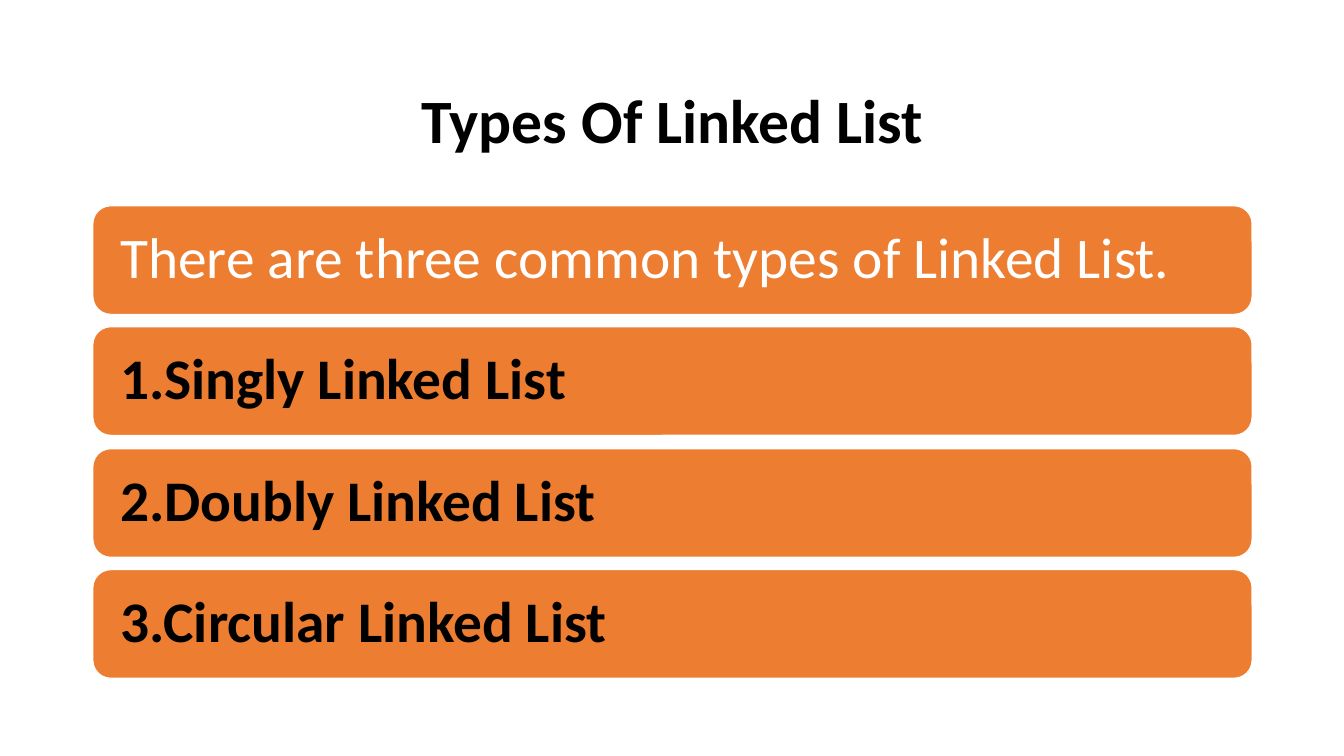
from pptx import Presentation
from pptx import util as u
from pptx.dml.color import RGBColor
from pptx.enum import shapes, text

PX = u.Inches(1) // 100
LEFT, WIDTH = 92, 1150
BAR_TOP, BAR_BOTTOM, BAR_HEIGHT = 204, 673, 108
BAR_INSET = 22
BARS = [
    ("There are three common types of Linked List.", "FFFFFF", False),
    ("1.Singly Linked List", "000000", True),
    ("2.Doubly Linked List", "000000", True),
    ("3.Circular Linked List", "000000", True),
]


def color(value):
    return RGBColor.from_string(value)


def write(shape, words, size, value, bold, alignment):
    """Fill a shape with one vertically centred, formatted paragraph."""
    frame = shape.text_frame
    frame.text = words
    frame.word_wrap = True
    frame.auto_size = text.MSO_AUTO_SIZE.NONE
    frame.vertical_anchor = text.MSO_ANCHOR.MIDDLE
    paragraph = frame.paragraphs[0]
    paragraph.alignment = alignment
    paragraph.line_spacing = 0.9
    font = paragraph.runs[0].font
    font.name = "Calibri"
    font.size = u.Pt(size)
    font.bold = bold
    font.color.rgb = color(value)


presentation = Presentation()
presentation.slide_width = 1333 * PX
presentation.slide_height = 750 * PX
slide = presentation.slides.add_slide(presentation.slide_layouts[5])

title = slide.shapes.title
title.left, title.top = LEFT * PX, 61 * PX
title.width, title.height = WIDTH * PX, 124 * PX
write(title, "Types Of Linked List", 44, "000000", True, text.PP_ALIGN.CENTER)

pitch = (BAR_BOTTOM - BAR_HEIGHT - BAR_TOP) / (len(BARS) - 1)
for index, (words, value, bold) in enumerate(BARS):
    top = round(BAR_TOP + index * pitch)
    bar = slide.shapes.add_shape(
        shapes.MSO_SHAPE.ROUNDED_RECTANGLE,
        LEFT * PX, top * PX, WIDTH * PX, BAR_HEIGHT * PX)
    bar.shadow.inherit = False
    bar.fill.solid()
    bar.fill.fore_color.rgb = color("ED7D31")
    bar.line.color.rgb = color("FFFFFF")
    bar.line.width = u.Pt(1)
    frame = bar.text_frame
    frame.margin_left = frame.margin_right = BAR_INSET * PX
    frame.margin_top = frame.margin_bottom = BAR_INSET * PX
    write(bar, words, 41, value, bold, text.PP_ALIGN.LEFT)

presentation.save("out.pptx")
